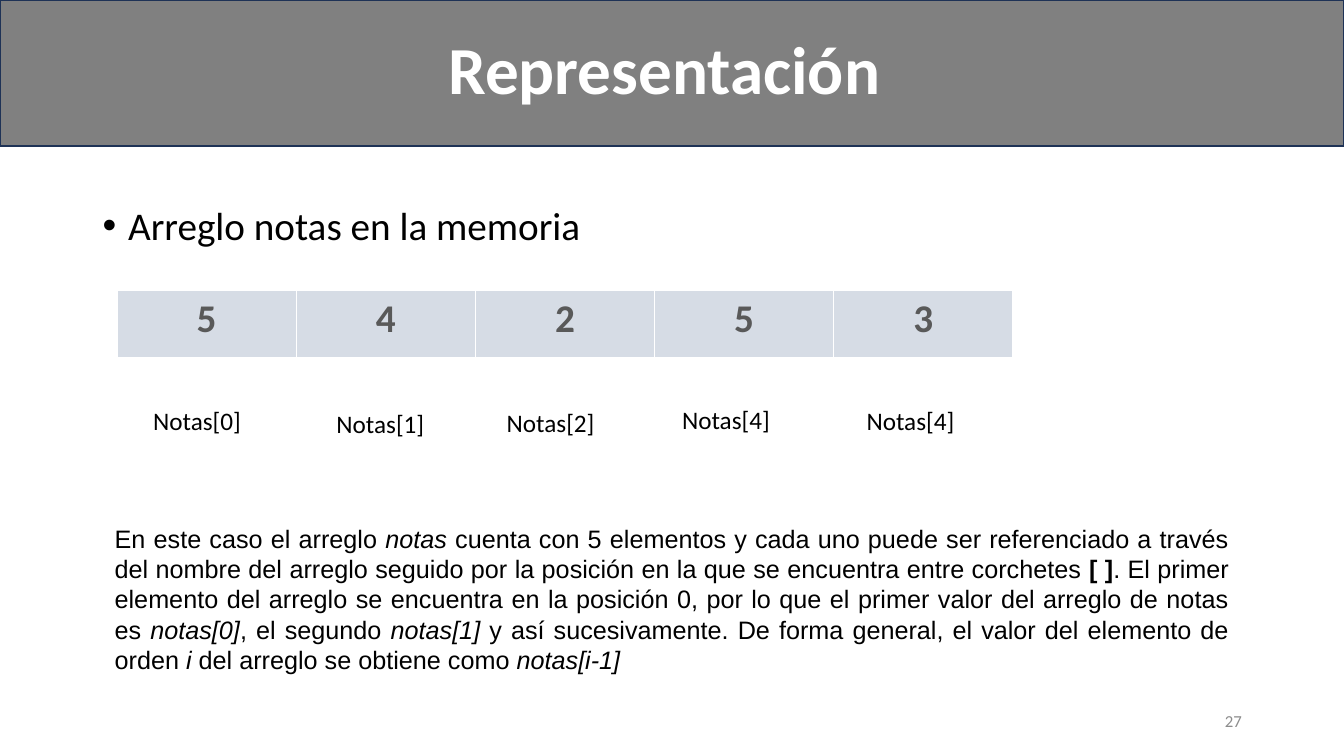
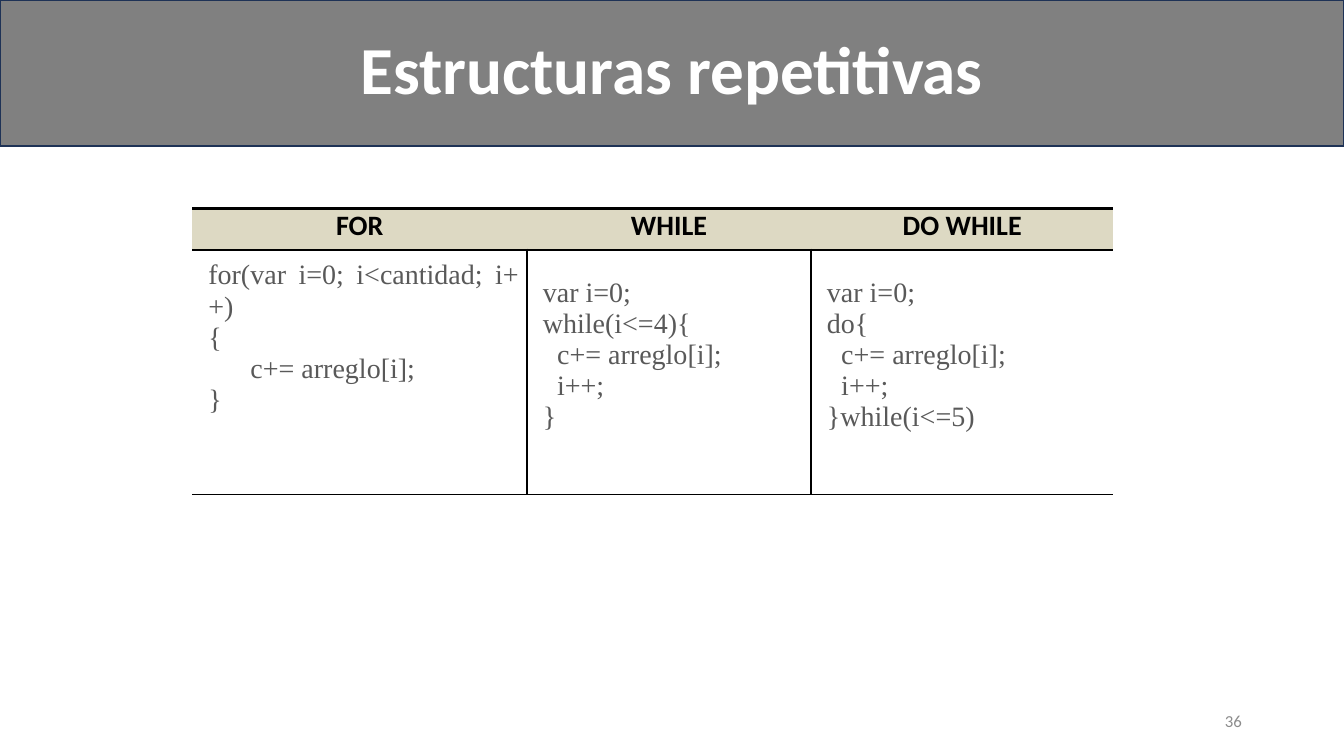
import pptx
import pptx.dml.color
import pptx.enum.shapes
import pptx.enum.text
import pptx.oxml.ns
import pptx.util
from lxml import etree

Cm = pptx.util.Cm
Pt = pptx.util.Pt
ALIGN = pptx.enum.text.PP_ALIGN
ANCHOR = pptx.enum.text.MSO_ANCHOR
RGB = pptx.dml.color.RGBColor.from_string
qn = pptx.oxml.ns.qn

COLORS = {
    "band": "808080",
    "band_line": "1E3256",
    "white": "FFFFFF",
    "black": "000000",
    "muted": "595959",
    "number": "8C8C8C",
    "memory_cell": "D6DCE5",
    "code_header": "DDD9C3",
}
PLAIN_TABLE_STYLE = "{2D5ABB26-0587-4C30-8999-92F81FD0307C}"


def add_text(paragraph, text, size=18, color="black", font="Calibri",
             bold=False, italic=False, align=ALIGN.LEFT):
    """Append one formatted run and align its paragraph."""
    paragraph.alignment = align
    run = paragraph.add_run()
    run.text = text
    run.font.size = Pt(size)
    run.font.name = font
    run.font.bold = bold
    run.font.italic = italic
    run.font.color.rgb = RGB(COLORS[color])


def add_borders(cell, **widths):
    """Draw black cell borders; widths in points, keyed L, R, T, B in that order."""
    properties = cell._tc.get_or_add_tcPr()
    for side, width in widths.items():
        line = etree.SubElement(properties, qn(f"a:ln{side}"), w=str(Pt(width)))
        fill = etree.SubElement(line, qn("a:solidFill"))
        etree.SubElement(fill, qn("a:srgbClr"), val=COLORS["black"])


presentation = pptx.Presentation()
presentation.slide_width = Cm(33.87)
presentation.slide_height = Cm(19.05)

# Shared title band and slide number
slides = []
for title, number in [("Representación ", "27"), ("Estructuras repetitivas", "36")]:
    slide = presentation.slides.add_slide(presentation.slide_layouts[6])
    slides.append(slide)

    band = slide.shapes.add_shape(pptx.enum.shapes.MSO_SHAPE.RECTANGLE,
                                  0, 0, presentation.slide_width, Cm(3.68))
    band.shadow.inherit = False
    band.fill.solid()
    band.fill.fore_color.rgb = RGB(COLORS["band"])
    band.line.color.rgb = RGB(COLORS["band_line"])
    band.line.width = Pt(1)
    band.text_frame.vertical_anchor = ANCHOR.MIDDLE
    paragraph = band.text_frame.paragraphs[0]
    paragraph.line_spacing = 0.9
    add_text(paragraph, title, size=48, color="white", bold=True, align=ALIGN.CENTER)

    number_box = slide.shapes.add_textbox(Cm(23.93), Cm(17.65), Cm(7.62), Cm(1.02))
    number_box.text_frame.word_wrap = True
    number_box.text_frame.vertical_anchor = ANCHOR.MIDDLE
    add_text(number_box.text_frame.paragraphs[0], number, size=12, color="number",
             align=ALIGN.RIGHT)

memory_slide, loops_slide = slides

# Slide 1: the array in memory
bullet_box = memory_slide.shapes.add_textbox(Cm(2.34), Cm(5.08), Cm(29.21), Cm(1.6))
bullet_box.text_frame.word_wrap = True
paragraph = bullet_box.text_frame.paragraphs[0]
paragraph.line_spacing = 0.9
add_text(paragraph, "Arreglo notas en la memoria", size=28)
properties = paragraph._p.get_or_add_pPr()
properties.set("marL", str(Cm(0.64)))
properties.set("indent", str(-Cm(0.64)))
etree.SubElement(properties, qn("a:buFont"), typeface="Arial")
etree.SubElement(properties, qn("a:buChar"), char="•")

values = ["5", "4", "2", "5", "3"]
memory_table = memory_slide.shapes.add_table(
    1, len(values), Cm(2.95), Cm(7.32), Cm(22.58), Cm(1.68)).table
memory_table.first_row = False
memory_table.horz_banding = False
for cell, value in zip(memory_table.iter_cells(), values):
    cell.fill.solid()
    cell.fill.fore_color.rgb = RGB(COLORS["memory_cell"])
    add_text(cell.text_frame.paragraphs[0], value, size=28, color="muted", bold=True,
             align=ALIGN.CENTER)

index_labels = [
    ("Notas[0]", 3.61, 10.08),
    ("Notas[1]", 8.23, 10.16),
    ("Notas[2]", 12.52, 10.13),
    ("Notas[4]", 16.94, 10.06),
    ("Notas[4]", 21.59, 10.08),
]
for label, left, top in index_labels:
    label_box = memory_slide.shapes.add_textbox(Cm(left), Cm(top), Cm(2.74), Cm(1.02))
    label_box.text_frame.word_wrap = False
    add_text(label_box.text_frame.paragraphs[0], label)

explanation = [
    ("En este caso el arreglo ", {}),
    ("notas", {"italic": True}),
    (" cuenta con 5 elementos y cada uno puede ser referenciado a través del nombre "
     "del arreglo seguido por la posición en la que se encuentra entre corchetes ", {}),
    ("[ ]", {"bold": True}),
    (". El primer elemento del arreglo se encuentra en la posición 0, por lo que el "
     "primer valor del arreglo de notas es ", {}),
    ("notas[0]", {"italic": True}),
    (", el segundo ", {}),
    ("notas[1]", {"italic": True}),
    (" y así sucesivamente. De forma general, el valor del elemento de orden ", {}),
    ("i", {"italic": True}),
    (" del arreglo se obtiene como ", {}),
    ("notas[i-1]", {"italic": True}),
]
explanation_box = memory_slide.shapes.add_textbox(Cm(2.64), Cm(13.06), Cm(28.58), Cm(4.11))
explanation_box.text_frame.word_wrap = True
for text, emphasis in explanation:
    add_text(explanation_box.text_frame.paragraphs[0], text, font="Arial",
             align=ALIGN.JUSTIFY, **emphasis)

# Slide 2: the three loops. Each column has a heading, a width, a space above
# the code, and code lines with their indents (lengths in cm).
loops = [
    ("FOR", 8.43, 0.25, [
        ("for(var i=0; i<cantidad; i++)", 0.2),
        ("{", 0.2),
        ("c+= arreglo[i];", 1.26),
        ("}", 0.2),
    ]),
    ("WHILE", 7.16, 0.68, [
        ("var i=0;", 0.2),
        ("while(i<=4){", 0.2),
        ("c+= arreglo[i];", 0.56),
        ("i++;", 0.56),
        ("}", 0.2),
    ]),
    ("DO WHILE", 7.62, 0.68, [
        ("var i=0;", 0.2),
        ("do{", 0.2),
        ("c+= arreglo[i];", 0.56),
        ("i++;", 0.56),
        ("}while(i<=5)", 0.2),
    ]),
]
loops_table = loops_slide.shapes.add_table(
    2, len(loops), Cm(4.85), Cm(5.26), Cm(23.21), Cm(7.21)).table
loops_table._tbl.tblPr.find(qn("a:tableStyleId")).text = PLAIN_TABLE_STYLE
loops_table.horz_banding = False
loops_table.rows[0].height = Cm(1.04)
loops_table.rows[1].height = Cm(6.17)
for cell in loops_table.iter_cells():
    cell.margin_left = cell.margin_right = Cm(0.2)
    cell.margin_top = cell.margin_bottom = 0

for column, (heading, width, space_above, code) in enumerate(loops):
    loops_table.columns[column].width = Cm(width)

    heading_cell = loops_table.cell(0, column)
    add_borders(heading_cell, T=2.25, B=2.25)
    heading_cell.fill.solid()
    heading_cell.fill.fore_color.rgb = RGB(COLORS["code_header"])
    add_text(heading_cell.text_frame.paragraphs[0], heading, size=20, bold=True,
             align=ALIGN.CENTER)

    code_cell = loops_table.cell(1, column)
    code_cell.margin_top = Cm(space_above)
    dividers = {}
    if column > 0:
        dividers["L"] = 1
    if column < len(loops) - 1:
        dividers["R"] = 1
    add_borders(code_cell, **dividers, T=2.25, B=1)
    code_cell.fill.background()
    for row, (line, indent) in enumerate(code):
        frame = code_cell.text_frame
        paragraph = frame.add_paragraph() if row else frame.paragraphs[0]
        add_text(paragraph, line, size=20, color="muted", font="Times New Roman",
                 align=ALIGN.JUSTIFY)
        paragraph._p.get_or_add_pPr().set("marL", str(Cm(indent)))

presentation.save("out.pptx")
